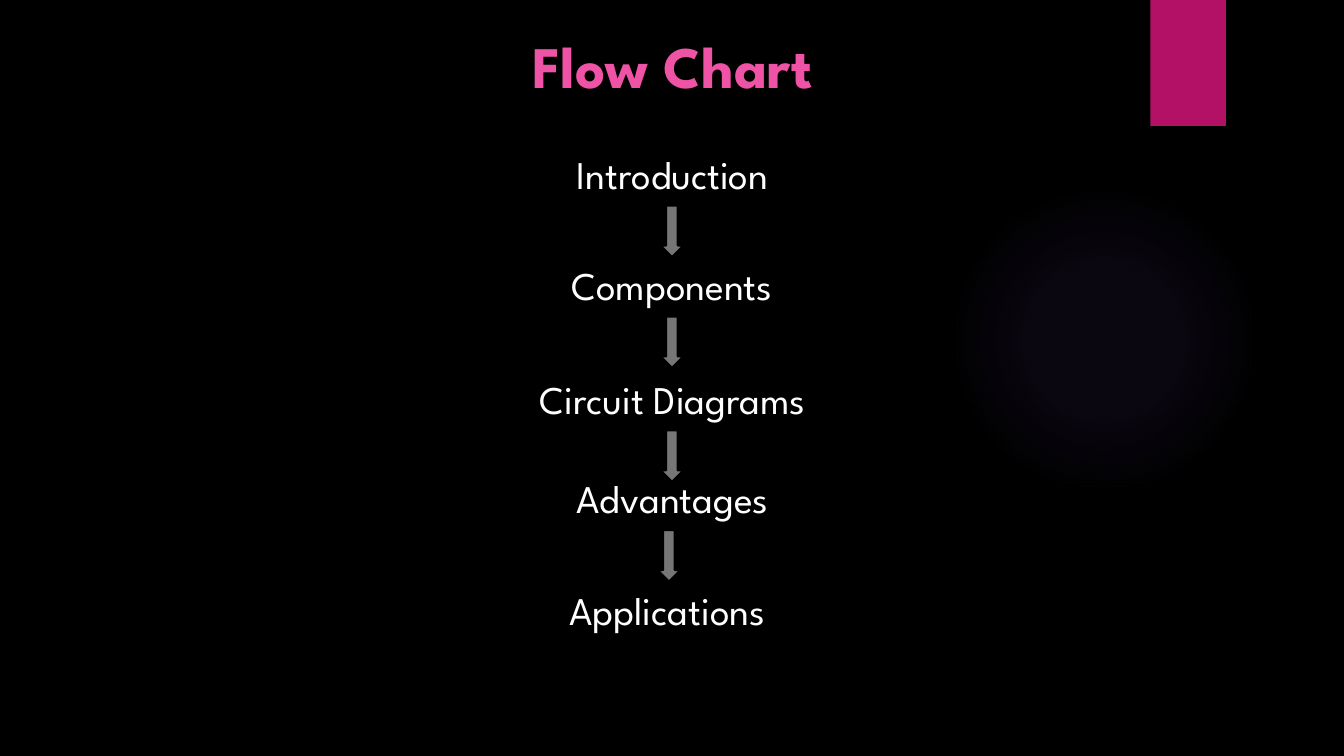
"""Build a dark slide with a five-step vertical flow chart."""
from pptx import Presentation
from pptx.dml.color import RGBColor as RGB
from pptx.enum.shapes import MSO_SHAPE as SHAPE
from pptx.enum.text import MSO_ANCHOR as ANCHOR, PP_ALIGN as ALIGN
from pptx.oxml import parse_xml
from pptx.util import Pt

PX = 9144
FONT = "League Spartan"
BLACK = RGB(0, 0, 0)
WHITE = RGB(255, 255, 255)
PINK = RGB(0xEF, 0x53, 0xA5)
MAGENTA = RGB(0xB3, 0x11, 0x66)
GREY = RGB(0x76, 0x76, 0x76)
VIOLET = RGB(0x9B, 0x6B, 0xF2)
GLOW = [(0, 7), (36, 6), (69, 0)]
DRAWING = "http://schemas.openxmlformats.org/drawingml/2006/main"

LABEL_H = 57
ARROW_DROP, ARROW_W, ARROW_H = 60, 23, 51
STEPS = [
    ("Introduction", 40, 0, 252, 154),
    ("Components", 31, 110, 269, 154),
    ("Circuit Diagrams", 0, 223, 332, 154),
    ("Advantages", 36, 322, 260, 151),
    ("Applications", 31, 433, 260, None),
]


def scale(*box):
    """Turn px lengths into EMU."""
    return [n * PX for n in box]


def write(frame, text, size, color, bold=False):
    """Put one centred line of text in a frame."""
    frame.word_wrap = True
    frame.text = text
    line = frame.paragraphs[0]
    line.alignment = ALIGN.CENTER
    line.font.name = FONT
    line.font.size = Pt(size)
    line.font.bold = bold
    line.font.color.rgb = color


def draw(slide, kind, box, color):
    """Add a plain filled shape without line or shadow."""
    shape = slide.shapes.add_shape(kind, *scale(*box))
    shape.shadow.inherit = False
    shape.fill.solid()
    shape.fill.fore_color.rgb = color
    shape.line.fill.background()
    return shape


def add_glow(slide, box):
    """Add a round glow that fades outwards."""
    glow = draw(slide, SHAPE.OVAL, box, VIOLET)
    stops = "".join(
        f'<a:gs pos="{at * 1000}"><a:srgbClr val="{VIOLET}">'
        f'<a:alpha val="{alpha * 1000}"/></a:srgbClr></a:gs>'
        for at, alpha in GLOW
    )
    fade = parse_xml(
        f'<a:gradFill xmlns:a="{DRAWING}" rotWithShape="1"><a:gsLst>{stops}</a:gsLst>'
        '<a:path path="circle"><a:fillToRect l="50000" t="50000" r="50000" b="50000"/>'
        "</a:path></a:gradFill>"
    )
    props = glow.element.spPr
    props.replace(props.find(f"{{{DRAWING}}}solidFill"), fade)


def set_title(slide, box):
    """Place and format the title."""
    title = slide.shapes.title
    title.left, title.top, title.width, title.height = scale(*box)
    title.text_frame.vertical_anchor = ANCHOR.MIDDLE
    write(title.text_frame, "Flow Chart", 42, PINK, True)


def add_flow(slide, left, top):
    """Add the steps and the arrows between them."""
    for name, x, y, width, tip in STEPS:
        label = slide.shapes.add_textbox(*scale(left + x, top + y, width, LABEL_H))
        write(label.text_frame, name, 28, WHITE)
        if tip is not None:
            box = (left + tip, top + y + ARROW_DROP, ARROW_W, ARROW_H)
            arrow = draw(slide, SHAPE.DOWN_ARROW, box, GREY)
            arrow.line.color.rgb = BLACK
            arrow.line.width = Pt(1.5)


def main():
    """Build and save the slide."""
    deck = Presentation()
    deck.slide_width, deck.slide_height = scale(1333, 750)
    slide = deck.slides.add_slide(deck.slide_layouts[5])
    slide.background.fill.solid()
    slide.background.fill.fore_color.rgb = BLACK
    add_glow(slide, (941, 183, 308, 308))
    draw(slide, SHAPE.RECTANGLE, (1141, 0, 75, 125), MAGENTA)
    set_title(slide, (501, 18, 332, 92))
    add_flow(slide, 501, 144)
    deck.save("out.pptx")


if __name__ == "__main__":
    main()
